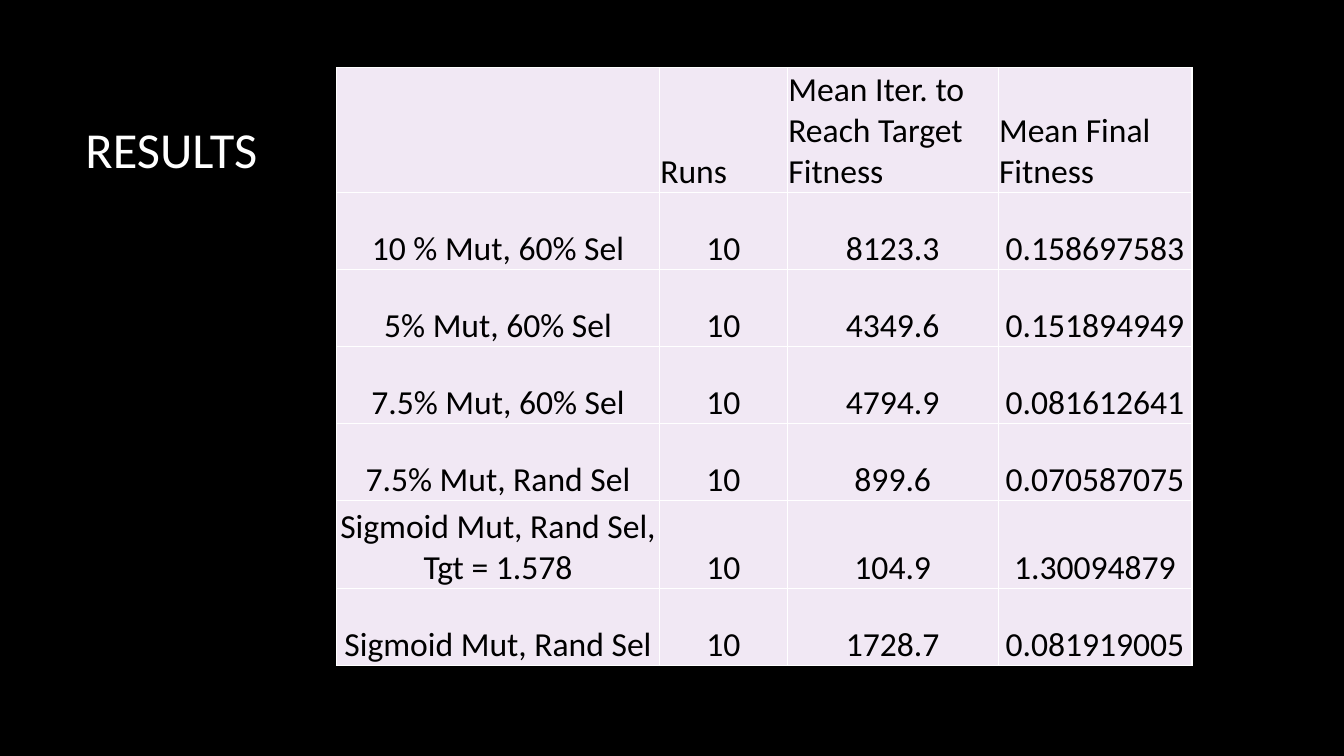
from lxml import etree
from pptx import Presentation
from pptx.dml.color import RGBColor
from pptx.enum.text import MSO_ANCHOR, PP_ALIGN
from pptx.oxml.ns import qn
from pptx.util import Pt

LEFT, CENTER = PP_ALIGN.LEFT, PP_ALIGN.CENTER
MIDDLE, BOTTOM = MSO_ANCHOR.MIDDLE, MSO_ANCHOR.BOTTOM
BLACK, WHITE, LILAC = "000000", "FFFFFF", "F1E8F4"
FONT = "Calibri"

COLUMN_WIDTHS = [230.5, 91.5, 150.5, 138.5]
ROW_HEIGHTS = [89, 55, 55, 55, 55, 63, 55]
RESULTS = [
    ["", "Runs", "Mean Iter. to Reach Target Fitness", "Mean Final Fitness"],
    ["10 % Mut, 60% Sel", "10", "8123.3", "0.158697583"],
    ["5% Mut, 60% Sel", "10", "4349.6", "0.151894949"],
    ["7.5% Mut, 60% Sel", "10", "4794.9", "0.081612641"],
    ["7.5% Mut, Rand Sel", "10", "899.6", "0.070587075"],
    ["Sigmoid Mut, Rand Sel, Tgt = 1.578", "10", "104.9", "1.30094879"],
    ["Sigmoid Mut, Rand Sel", "10", "1728.7", "0.081919005"],
]


def color(hex_value):
    return RGBColor.from_string(hex_value)


def write(tf, text, size=24, fill=BLACK, align=LEFT):
    tf.word_wrap = True
    p = tf.paragraphs[0]
    p.alignment = align
    p.font.size = Pt(size)
    if text:
        r = p.add_run()
        r.text = text
        r.font.name = FONT
        r.font.size = Pt(size)
        r.font.color.rgb = color(fill)


def add_borders(cell, hex_value, width):
    """Draw all four sides; the lines must precede the fill in the XML."""
    tc_pr = cell._tc.get_or_add_tcPr()
    for i, side in enumerate(("a:lnL", "a:lnR", "a:lnT", "a:lnB")):
        ln = etree.Element(qn(side), w=str(Pt(width)))
        solid = etree.SubElement(ln, qn("a:solidFill"))
        etree.SubElement(solid, qn("a:srgbClr"), val=hex_value)
        tc_pr.insert(i, ln)


def add_title(slide, x, y, w, h):
    sp = slide.shapes.add_textbox(Pt(x), Pt(y), Pt(w), Pt(h))
    sp.text_frame.vertical_anchor = MIDDLE
    write(sp.text_frame, "RESULTS", size=36, fill=WHITE)


def add_results_table(slide, x, y):
    table = slide.shapes.add_table(
        len(RESULTS), len(COLUMN_WIDTHS), Pt(x), Pt(y),
        Pt(sum(COLUMN_WIDTHS)), Pt(sum(ROW_HEIGHTS))).table
    for column, width in zip(table.columns, COLUMN_WIDTHS):
        column.width = Pt(width)
    for i, (row, height) in enumerate(zip(table.rows, ROW_HEIGHTS)):
        row.height = Pt(height)
        for cell, text in zip(row.cells, RESULTS[i]):
            cell.margin_left = cell.margin_right = cell.margin_top = Pt(0.7)
            cell.margin_bottom = 0
            cell.vertical_anchor = BOTTOM
            cell.fill.solid()
            cell.fill.fore_color.rgb = color(LILAC)
            add_borders(cell, WHITE, 1)
            write(cell.text_frame, text, align=CENTER if i else LEFT)


def main():
    prs = Presentation()
    prs.slide_width, prs.slide_height = Pt(960), Pt(540)
    slide = prs.slides.add_slide(prs.slide_layouts[6])
    slide.background.fill.solid()
    slide.background.fill.fore_color.rgb = color(BLACK)
    add_title(slide, 54, 48.5, 798, 114.5)
    add_results_table(slide, 240.5, 48.5)
    prs.save("out.pptx")


if __name__ == "__main__":
    main()
